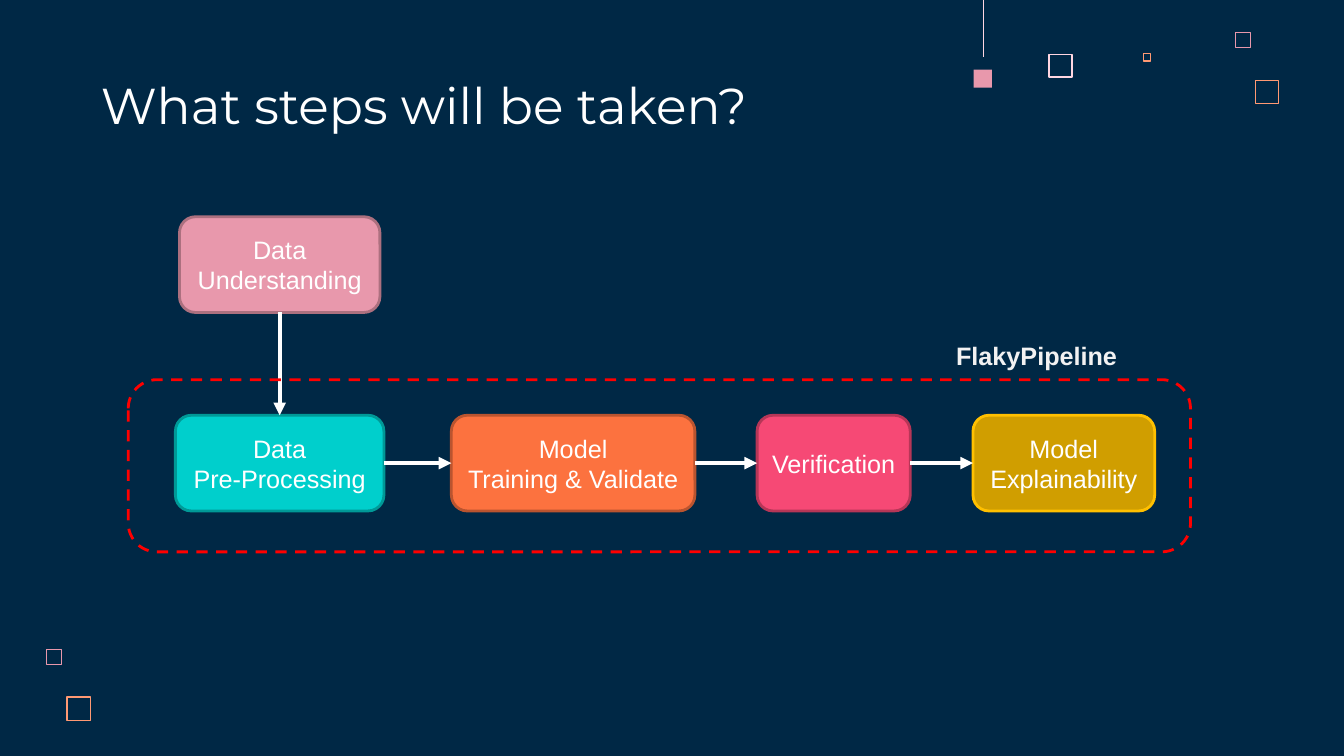
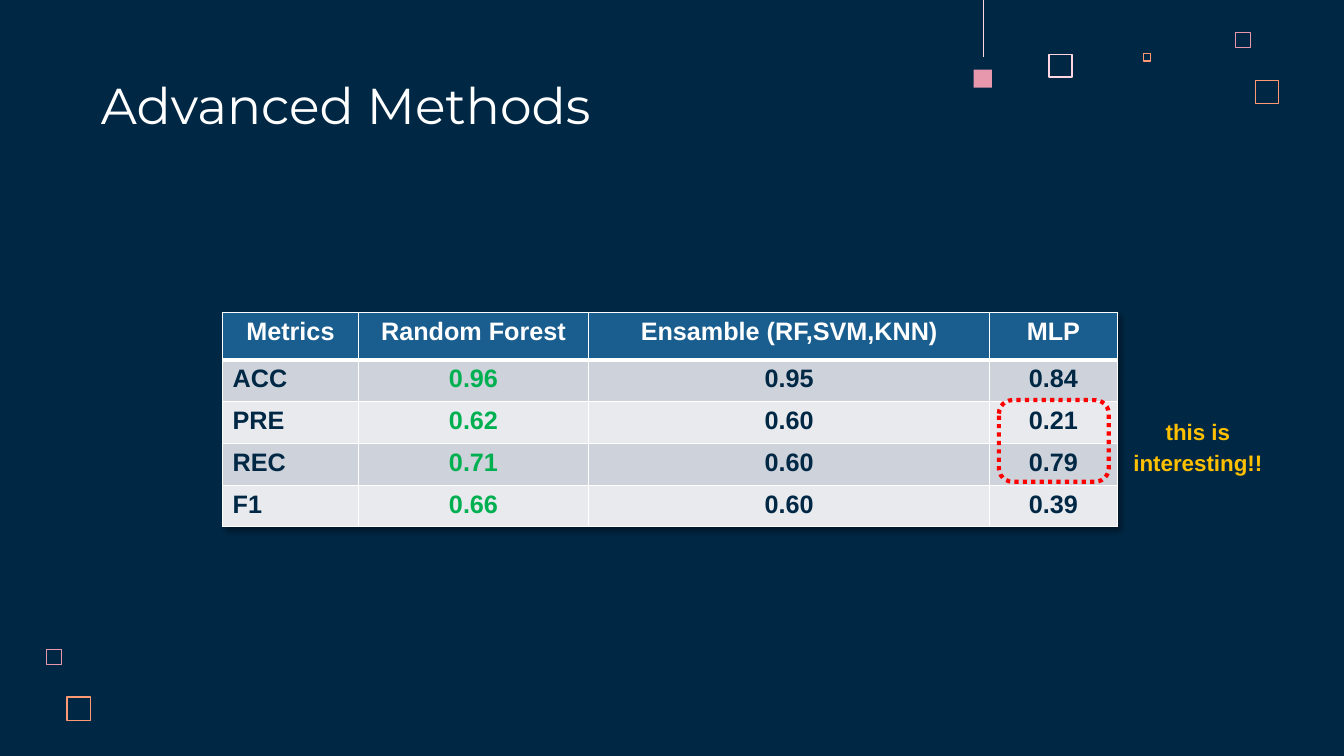
from itertools import pairwise

from lxml import etree
from pptx import Presentation
from pptx.dml.color import RGBColor
from pptx.enum import dml, shapes, text
from pptx.oxml import parse_xml
from pptx.oxml.ns import nsdecls, qn
from pptx.util import Pt

NAVY = RGBColor(0x00, 0x28, 0x45)
WHITE = RGBColor(0xFF, 0xFF, 0xFF)
OFF_WHITE = RGBColor(0xF2, 0xF2, 0xF2)
BLUSH = RGBColor(0xFF, 0xD6, 0xE1)
PINK = RGBColor(0xE8, 0x98, 0xAC)
DARK_PINK = RGBColor(0xAC, 0x70, 0x7F)
PEACH = RGBColor(0xFF, 0x99, 0x73)
TEAL = RGBColor(0x00, 0xCF, 0xCC)
DARK_TEAL = RGBColor(0x00, 0x99, 0x97)
ORANGE = RGBColor(0xFC, 0x72, 0x3F)
DARK_ORANGE = RGBColor(0xBA, 0x54, 0x2F)
ROSE = RGBColor(0xF6, 0x49, 0x75)
DARK_ROSE = RGBColor(0xB6, 0x36, 0x57)
OCHRE = RGBColor(0xD0, 0x9E, 0x00)
GOLD = RGBColor(0xFF, 0xC0, 0x00)
RED = RGBColor(0xFF, 0x00, 0x00)
GREEN = RGBColor(0x00, 0xB0, 0x50)
BLUE = RGBColor(0x1A, 0x5E, 0x8F)
GREY = RGBColor(0xCD, 0xD2, 0xDB)
LIGHT_GREY = RGBColor(0xE8, 0xEA, 0xEE)

TITLE_FONT, BODY_FONT = "Montserrat", "Arial"
CENTER = text.PP_ALIGN.CENTER
LEFT = text.PP_ALIGN.LEFT

# Decorative frames: left, top, size, colour, line width
FRAMES = [
    (748.8, 38.3, 17.5, BLUSH, 1.25),
    (882, 23, 11.5, PINK, 0.75),
    (816.5, 38.2, 5.8, PEACH, 0.75),
    (896.4, 56.9, 17.3, PEACH, 0.75),
    (33.1, 463.7, 11.5, PINK, 0.75),
    (47.5, 497.5, 17.3, PEACH, 0.75),
]

# Pipeline steps: text, left, width, fill, line
STEP_TOP, STEP_HEIGHT = 296.6, 68.4
FIRST_STEP_TOP = 154.8
FIRST_STEP = ("Data Understanding", 128.2, 143.2, PINK, DARK_PINK)
STEPS = [
    ("Data\nPre-Processing", 125.3, 149, TEAL, DARK_TEAL),
    ("Model\nTraining & Validate", 322.4, 174, ORANGE, DARK_ORANGE),
    ("Verification", 540.8, 109.4, ROSE, DARK_ROSE),
    ("Model\nExplainability", 695, 129.8, OCHRE, GOLD),
]

HEADER = ["Metrics", "Random Forest", "Ensamble (RF,SVM,KNN)", "MLP"]
SCORES = [
    ["ACC", "0.96", "0.95", "0.84"],
    ["PRE", "0.62", "0.60", "0.21"],
    ["REC", "0.71", "0.60", "0.79"],
    ["F1", "0.66", "0.60", "0.39"],
]
COLUMN_WIDTHS = [97, 164.5, 286.5, 91]
HEADER_HEIGHT, ROW_HEIGHT = 34.2, 29.8
BEST_COLUMN = 1


def write(frame, words, size, color, bold=False, font=BODY_FONT, align=CENTER):
    frame.text = words
    for para in frame.paragraphs:
        para.alignment = align
        for span in para.runs:
            span.font.name, span.font.size = font, Pt(size)
            span.font.color.rgb, span.font.bold = color, bold


def add_box(page, kind, left, top, width, height, fill=None, line=None, weight=2, dash=None):
    box = page.shapes.add_shape(kind, Pt(left), Pt(top), Pt(width), Pt(height))
    box.shadow.inherit = False
    if fill is None:
        box.fill.background()
    else:
        box.fill.solid()
        box.fill.fore_color.rgb = fill
    if line is None:
        box.line.fill.background()
    else:
        box.line.color.rgb = line
        box.line.width = Pt(weight)
        if dash is not None:
            box.line.dash_style = dash
    return box


def add_rounded(page, *place, **style):
    return add_box(page, shapes.MSO_SHAPE.ROUNDED_RECTANGLE, *place, **style)


def add_line(page, start, end, color, weight):
    ends = [Pt(value) for value in (*start, *end)]
    line = page.shapes.add_connector(shapes.MSO_CONNECTOR.STRAIGHT, *ends)
    line.line.color.rgb = color
    line.line.width = Pt(weight)
    etree.SubElement(line._element.spPr, qn("a:effectLst"))
    return line


def add_arrow(page, source, source_site, target, target_site):
    arrow = add_line(page, (0, 0), (0, 0), WHITE, 3)
    arrow.begin_connect(source, source_site)
    arrow.end_connect(target, target_site)
    outline = arrow.line._get_or_add_ln()
    etree.SubElement(outline, qn("a:tailEnd"), type="triangle")


def add_page(deck, title):
    """Add a slide with its title and the decorative squares."""
    page = deck.slides.add_slide(deck.slide_layouts.get_by_name("Title Only"))
    square = shapes.MSO_SHAPE.RECTANGLE
    for left, top, size, color, weight in FRAMES:
        inset = weight / 2
        inner = size - weight
        add_box(page, square, left + inset, top + inset, inner, inner, line=color, weight=weight)
    add_box(page, square, 695.5, 49.7, 13, 13, fill=PINK)
    add_line(page, (702.5, 0), (702.5, 41), BLUSH, 0.75)

    heading = page.shapes.title
    heading.left, heading.top = Pt(64.8), Pt(43.2)
    heading.width, heading.height = Pt(740), Pt(60.5)
    frame = heading.text_frame
    write(frame, title, 36, WHITE, font=TITLE_FONT, align=LEFT)
    frame.auto_size = text.MSO_AUTO_SIZE.NONE
    frame.vertical_anchor = text.MSO_ANCHOR.BOTTOM
    frame.margin_left = frame.margin_right = Pt(7.2)
    frame.margin_top = frame.margin_bottom = Pt(7.2)
    return page


def add_step(page, step, top):
    words, left, width, fill, line = step
    box = add_rounded(page, left, top, width, STEP_HEIGHT, fill=fill, line=line)
    write(box.text_frame, words, 18, WHITE)
    box.text_frame.margin_left = box.text_frame.margin_right = Pt(3)
    return box


def build_steps(deck):
    page = add_page(deck, "What steps will be taken?")
    first = add_step(page, FIRST_STEP, FIRST_STEP_TOP)
    boxes = [add_step(page, step, STEP_TOP) for step in STEPS]
    top_site, left_site, bottom_site, right_site = range(4)
    add_arrow(page, first, bottom_site, boxes[0], top_site)
    for source, target in pairwise(boxes):
        add_arrow(page, source, right_site, target, left_site)
    add_rounded(page, 91.6, 271.2, 758.8, 123, line=RED, dash=dml.MSO_LINE.DASH)
    label = add_rounded(page, 672.5, 240.5, 136, 27.4)
    write(label.text_frame, "FlakyPipeline", 18, OFF_WHITE, bold=True)


def set_borders(cell, **weights):
    properties = cell._tc.get_or_add_tcPr()
    for side in "LRTB":
        width = Pt(weights.get(side, 1))
        properties.append(parse_xml(
            f'<a:ln{side} {nsdecls("a")} w="{width}"><a:solidFill>'
            f'<a:srgbClr val="{WHITE}"/></a:solidFill></a:ln{side}>'))


def add_table_shadow(table):
    table._tbl.tblPr.insert(0, parse_xml(
        f'<a:effectLst {nsdecls("a")}><a:outerShdw blurRad="{Pt(4)}" dist="{Pt(3)}" '
        'dir="2700000" algn="tl" rotWithShape="0"><a:srgbClr val="000000">'
        '<a:alpha val="40000"/></a:srgbClr></a:outerShdw></a:effectLst>'))


def add_scores(page, left, top):
    rows = [HEADER, *SCORES]
    heights = [HEADER_HEIGHT] + [ROW_HEIGHT] * len(SCORES)
    table = page.shapes.add_table(
        len(rows), len(HEADER), Pt(left), Pt(top),
        Pt(sum(COLUMN_WIDTHS)), Pt(sum(heights))).table
    add_table_shadow(table)
    for column, width in zip(table.columns, COLUMN_WIDTHS):
        column.width = Pt(width)
    for r, (row, height) in enumerate(zip(rows, heights)):
        table.rows[r].height = Pt(height)
        for c, words in enumerate(row):
            cell = table.cell(r, c)
            if r == 0:
                fill, color = BLUE, WHITE
                set_borders(cell, B=3)
            else:
                fill = GREY if r % 2 else LIGHT_GREY
                color = GREEN if c == BEST_COLUMN else NAVY
                set_borders(cell, T=3 if r == 1 else 1)
            cell.fill.solid()
            cell.fill.fore_color.rgb = fill
            align = LEFT if r and c == 0 else CENTER
            write(cell.text_frame, words, 18, color, bold=True, align=align)


def build_scores(deck):
    page = add_page(deck, "Advanced Methods")
    add_scores(page, 159, 223)
    add_rounded(page, 713.5, 285.8, 78.5, 58.3, line=RED, weight=3,
                dash=dml.MSO_LINE.ROUND_DOT)
    note = page.shapes.add_textbox(Pt(800.6), Pt(288.7), Pt(110.2), Pt(42.5))
    frame = note.text_frame
    frame.word_wrap = True
    frame.margin_top = frame.margin_bottom = Pt(7.2)
    write(frame, "this is interesting!!", 16, GOLD, bold=True)
    frame.paragraphs[0].line_spacing = 1.15


def main():
    deck = Presentation()
    deck.slide_width, deck.slide_height = Pt(960), Pt(540)
    backdrop = deck.slide_master.background.fill
    backdrop.solid()
    backdrop.fore_color.rgb = NAVY
    build_steps(deck)
    build_scores(deck)
    deck.save("out.pptx")


if __name__ == "__main__":
    main()
